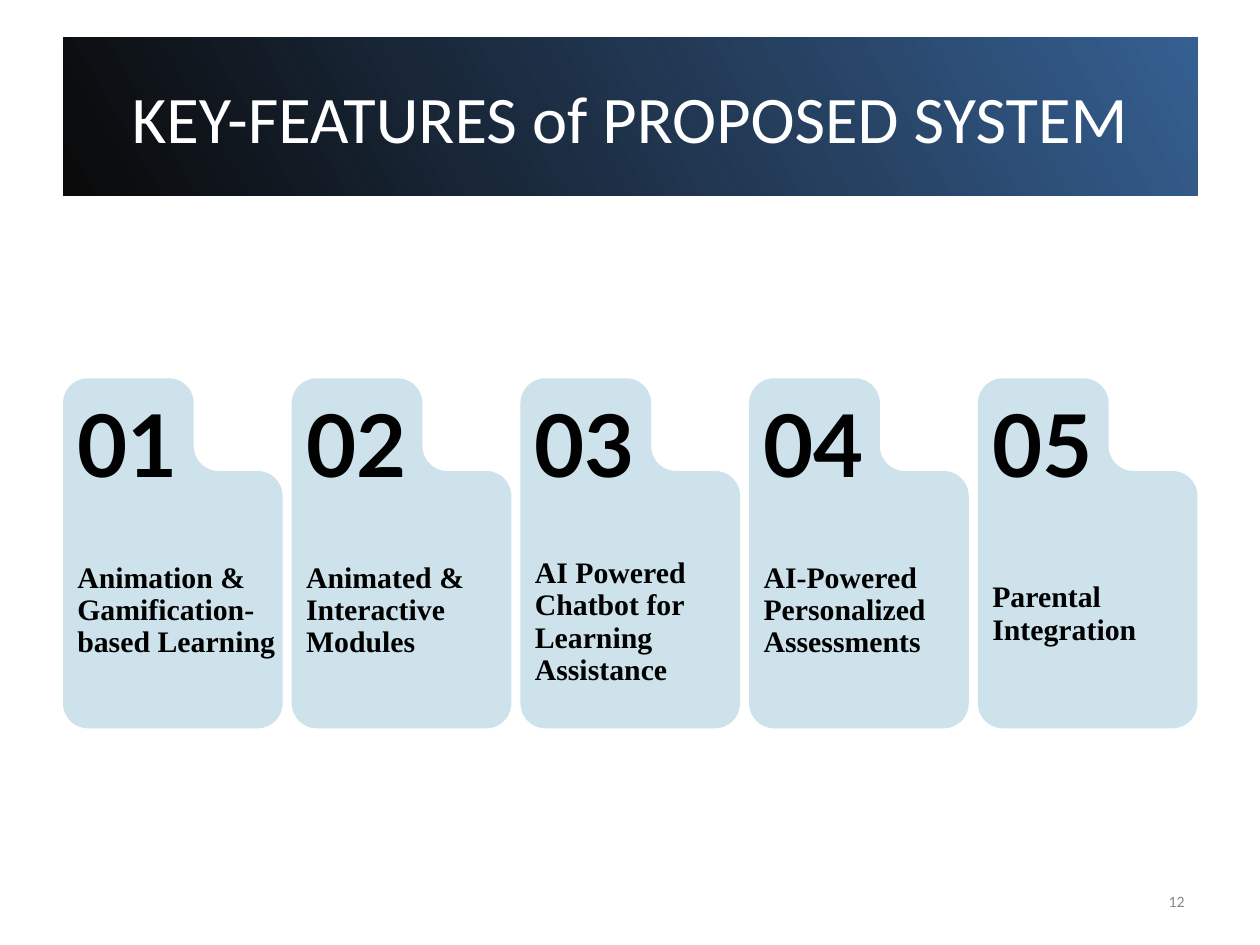
from math import cos, radians, sin

from lxml.etree import SubElement
from pptx import Presentation
from pptx.dml.color import RGBColor
from pptx.enum.text import MSO_ANCHOR, PP_ALIGN
from pptx.oxml.ns import qn
from pptx.util import Pt

BLACK = RGBColor(0, 0, 0)
INK = RGBColor(1, 1, 1)
WHITE = RGBColor(255, 255, 255)
BLUE = RGBColor(0x36, 0x60, 0x92)
PALE = RGBColor(0xCD, 0xE2, 0xEB)
GREY = RGBColor(0x88, 0x88, 0x88)

LEFT, TOP, PITCH = 36, 216.2, 130.7
WIDE, HIGH = 125.5, 200
TAB, STEP, CURVE = 74.7, 53, 14.3
INSET = 8.2

# Caption text, top, width and height
CARDS = [
    ("Animation & Gamification-\nbased Learning", 269.3, 117.4, 108.7),
    ("Animated & Interactive Modules", 269.3, 108.7, 108.7),
    ("AI Powered\nChatbot for Learning Assistance", 303.8, 137.5, 90),
    ("AI-Powered Personalized Assessments", 269.3, 108.7, 108.7),
    ("Parental Integration", 262.1, 108.7, 108.7),
]


def arc(x, y, start, sweep, steps=16):
    """Points on a quarter round of radius CURVE about (x, y)."""
    turns = [radians(start + sweep * i / steps) for i in range(steps + 1)]
    return [(Pt(x + CURVE * cos(t)), Pt(y + CURVE * sin(t))) for t in turns]


class Deck:
    title = {"name": "Calibri", "size": Pt(38), "color": WHITE}
    number = {"name": "Lato", "size": Pt(49.4), "bold": True, "color": INK}
    label = {"name": "Times New Roman", "size": Pt(17), "bold": True,
             "color": BLACK}
    page = {"name": "Calibri", "size": Pt(9), "color": GREY}

    def __init__(self):
        self.prs = Presentation()
        self.prs.slide_width, self.prs.slide_height = Pt(720), Pt(540)
        self.slide = self.prs.slides.add_slide(self.prs.slide_layouts[5])

    def label_shape(self, shape, text, style, inset=(0, 0),
                    anchor=MSO_ANCHOR.TOP, align=PP_ALIGN.LEFT, space=None):
        """Fill a shape with styled text; inset is (side, top and bottom)."""
        frame = shape.text_frame
        frame.text = text
        side, edge = map(Pt, inset)
        form = {"word_wrap": True, "vertical_anchor": anchor,
                "margin_left": side, "margin_right": side,
                "margin_top": edge, "margin_bottom": edge}
        for key, value in form.items():
            setattr(frame, key, value)
        for para in frame.paragraphs:
            para.alignment = align
            para.line_spacing = space
            for run in para.runs:
                for key, value in style.items():
                    if key == "color":
                        run.font.color.rgb = value
                    else:
                        setattr(run.font, key, value)

    def text(self, box, text, style, **form):
        shape = self.slide.shapes.add_textbox(*map(Pt, box))
        self.label_shape(shape, text, style, **form)

    def banner(self, box, text):
        shape = self.slide.shapes.title
        for key, value in zip(("left", "top", "width", "height"), box):
            setattr(shape, key, Pt(value))
        shape.fill.gradient()
        shape.fill.gradient_angle = 30
        stops = shape.fill.gradient_stops
        for stop, color in zip(stops, (BLACK, BLUE)):
            stop.color.rgb = color
        dark = next(shape.element.iter(qn("a:srgbClr")))
        SubElement(dark, qn("a:alpha"), val="96000")
        self.label_shape(shape, text, self.title, inset=(7.2, 3.6),
                         anchor=MSO_ANCHOR.MIDDLE, align=PP_ALIGN.CENTER)

    def folder(self, x, y):
        """Rounded card with a raised tab at its top left."""
        r = CURVE
        turns = [
            (r, r, 180, 90),
            (TAB - r, r, 270, 90),
            (TAB + r, STEP - r, 180, -90),
            (WIDE - r, STEP + r, 270, 90),
            (WIDE - r, HIGH - r, 0, 90),
            (r, HIGH - r, 90, 90),
        ]
        dots = [dot for cx, cy, start, sweep in turns
                for dot in arc(x + cx, y + cy, start, sweep)]
        outline = self.slide.shapes.build_freeform(*dots[0])
        outline.add_line_segments(dots[1:], close=True)
        shape = outline.convert_to_shape()
        shape.shadow.inherit = False
        shape.fill.solid()
        shape.fill.fore_color.rgb = PALE
        shape.line.fill.background()

    def card(self, index, text, top, width, height):
        x = LEFT + index * PITCH
        self.folder(x, TOP)
        self.text((x + INSET, top, width, height), text, self.label,
                  inset=(0, 1.4), anchor=MSO_ANCHOR.BOTTOM, space=0.9)
        self.text((x + INSET, 223.2, 59, 62.6), f"{index + 1:02}", self.number)


def main():
    deck = Deck()
    deck.banner((36, 21.6, 648, 90), "KEY-FEATURES of PROPOSED SYSTEM")
    for index, card in enumerate(CARDS):
        deck.card(index, *card)
    deck.text((516, 500.5, 168, 28.8), "12", deck.page, inset=(7.2, 3.6),
              anchor=MSO_ANCHOR.MIDDLE, align=PP_ALIGN.RIGHT)
    deck.prs.save("out.pptx")


if __name__ == "__main__":
    main()
